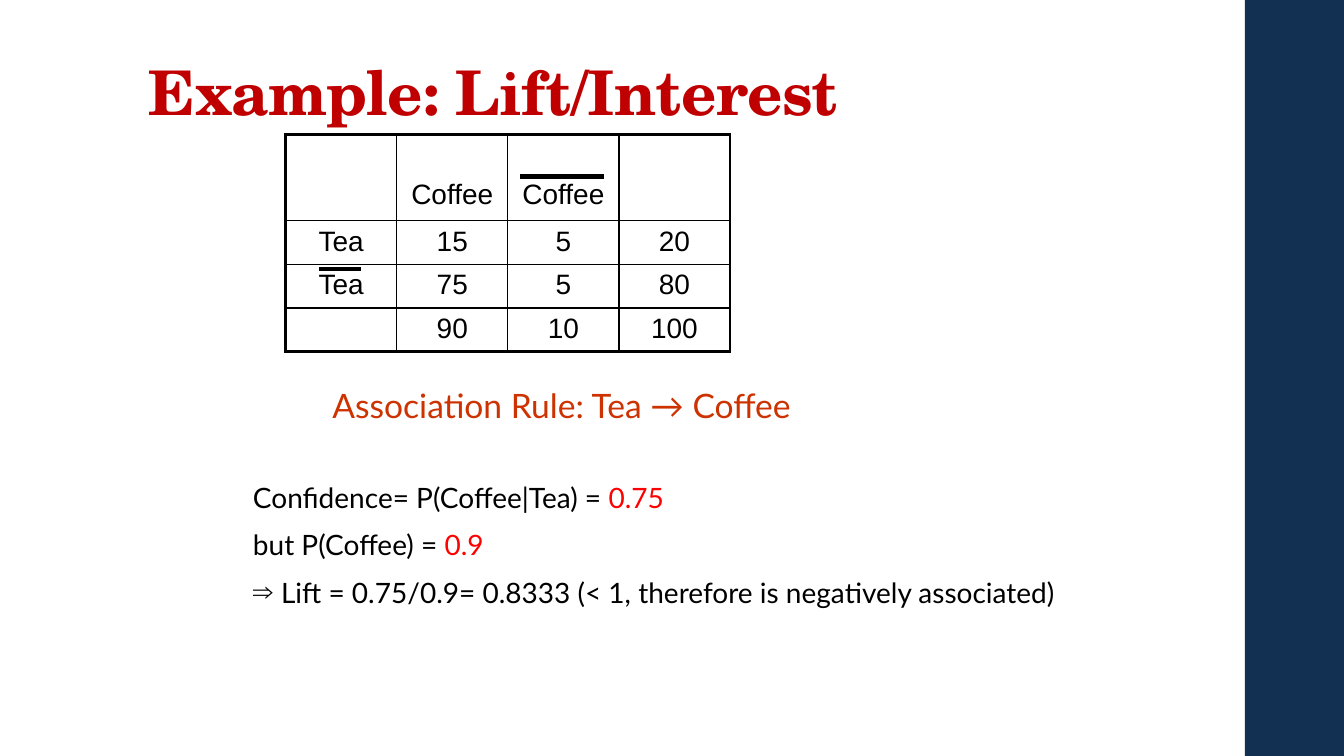
from lxml.etree import SubElement as Sub
from pptx import Presentation
from pptx.dml.color import RGBColor
from pptx.enum.shapes import MSO_CONNECTOR as Connector, MSO_SHAPE as Shape
from pptx.enum.text import MSO_ANCHOR as Anchor, MSO_AUTO_SIZE as AutoSize, PP_ALIGN as Align
from pptx.oxml.ns import qn
from pptx.util import Cm, Pt

COUNTS = [
    ["", "Coffee", "Coffee", ""],
    ["Tea", "15", "5", "20"],
    ["Tea", "75", "5", "80"],
    ["", "90", "10", "100"],
]
ROW_HEIGHTS = [2.18, 1.1, 1.1, 1.1]
BLACK, RED = "000000", "FF0000"


def color(value):
    return RGBColor.from_string(value)


def format_font(font, name, size, value):
    font.name = name
    font.size = Pt(size)
    font.color.rgb = color(value)


def place(shape, left, top, width, height):
    shape.left, shape.top = Cm(left), Cm(top)
    shape.width, shape.height = Cm(width), Cm(height)


def add_side_band(slide, left, top, width, height):
    band = slide.shapes.add_shape(Shape.RECTANGLE, Cm(left), Cm(top), Cm(width), Cm(height))
    band.shadow.inherit = False
    band.fill.solid()
    band.fill.fore_color.rgb = color("113052")
    band.line.fill.background()


def fill_title(slide, left, top, width, height):
    title = slide.shapes.title
    place(title, left, top, width, height)
    title.text_frame.text = "Example: Lift/Interest"
    title.text_frame.vertical_anchor = Anchor.BOTTOM
    paragraph = title.text_frame.paragraphs[0]
    paragraph.alignment = Align.LEFT
    paragraph.line_spacing = 0.9
    run = paragraph.runs[0]
    format_font(run.font, "TeX Gyre Schola", 44, "C00000")
    run.font.bold = True
    run.font._element.set("spc", "-50")


def set_borders(cell, widths):
    properties = cell._tc.get_or_add_tcPr()
    for side, width in zip("LRTB", widths):
        line = Sub(properties, qn(f"a:ln{side}"), w=str(Pt(width)))
        Sub(Sub(line, qn("a:solidFill")), qn("a:srgbClr"), val=BLACK)
    cell.fill.background()


def add_overline(slide, left, top, width):
    line = slide.shapes.add_connector(
        Connector.STRAIGHT, Cm(left), Cm(top), Cm(left + width), Cm(top))
    line.line.color.rgb = color(BLACK)
    line.line.width = Pt(3)
    Sub(line._element.spPr, qn("a:effectLst"))


def add_count_table(slide, left, top, width):
    last = len(COUNTS) - 1
    column_width = width / len(COUNTS[0])
    table = slide.shapes.add_table(
        len(COUNTS), len(COUNTS[0]), Cm(left), Cm(top), Cm(width), Cm(sum(ROW_HEIGHTS))).table
    table.first_row = table.horz_banding = False
    for column in table.columns:
        column.width = Cm(column_width)
    for r, (texts, height) in enumerate(zip(COUNTS, ROW_HEIGHTS)):
        table.rows[r].height = Cm(height)
        for c, text in enumerate(texts):
            cell = table.cell(r, c)
            outer_sides = (c == 0, c == last, r == 0, r == last)
            set_borders(cell, [2.25 if outer else 1 for outer in outer_sides])
            cell.text_frame.text = text
            if r == 0:
                cell.vertical_anchor = Anchor.BOTTOM
                cell.margin_bottom = Cm(0.27)
            paragraph = cell.text_frame.paragraphs[0]
            paragraph.alignment = Align.CENTER
            format_font(paragraph.font, "Arial", 20, BLACK)
            for run in paragraph.runs:
                format_font(run.font, "Arial", 20, BLACK)
    add_overline(slide, left + 2 * column_width + 0.3, top + 1.07, 2.13)
    add_overline(slide, left + 0.84, top + sum(ROW_HEIGHTS[:2]) + 0.11, 1.07)


def set_bullet(paragraph, character, margin, indent):
    properties = paragraph._p.get_or_add_pPr()
    properties.set("marL", str(Cm(margin)))
    properties.set("indent", str(Cm(indent)))
    if character:
        Sub(properties, qn("a:buChar"), char=character)
    else:
        Sub(properties, qn("a:buNone"))


def fill_conclusion(slide, left, top, width, height):
    body = slide.placeholders[1]
    place(body, left, top, width, height)
    frame = body.text_frame
    frame.auto_size = AutoSize.NONE
    lines = [
        ("", 2, 0, 24, [("Association Rule: Tea → Coffee", "CC3300")]),
        ("", 0, 0, 20, [("Confidence= P(Coffee|Tea) = ", BLACK), ("0.75", RED)]),
        ("", 0, 0, 20, [("but P(Coffee) = ", BLACK), ("0.9", RED)]),
        ("⇒", 0.71, -0.71, 20,
         [("Lift = 0.75/0.9= 0.8333 (< 1, therefore is negatively associated)", BLACK)]),
    ]
    for index, (bullet, margin, indent, size, parts) in enumerate(lines):
        paragraph = frame.add_paragraph() if index else frame.paragraphs[0]
        paragraph.space_before = Pt(10 if index else 0)
        paragraph.space_after = Pt(0 if index else 29)
        set_bullet(paragraph, bullet, margin, indent)
        for text, value in parts:
            run = paragraph.add_run()
            run.text = text
            format_font(run.font, "Lato", size, value)


def main():
    presentation = Presentation()
    presentation.slide_width, presentation.slide_height = Cm(33.87), Cm(19.05)
    slide = presentation.slides.add_slide(presentation.slide_layouts[1])
    add_side_band(slide, 31.37, 0, 2.5, 19.05)
    fill_title(slide, 3.5, 1.02, 26.92, 2.36)
    add_count_table(slide, 7.2, 3.38, 11.2)
    fill_conclusion(slide, 6.12, 9.58, 22.43, 6.15)
    presentation.save("out.pptx")


if __name__ == "__main__":
    main()
